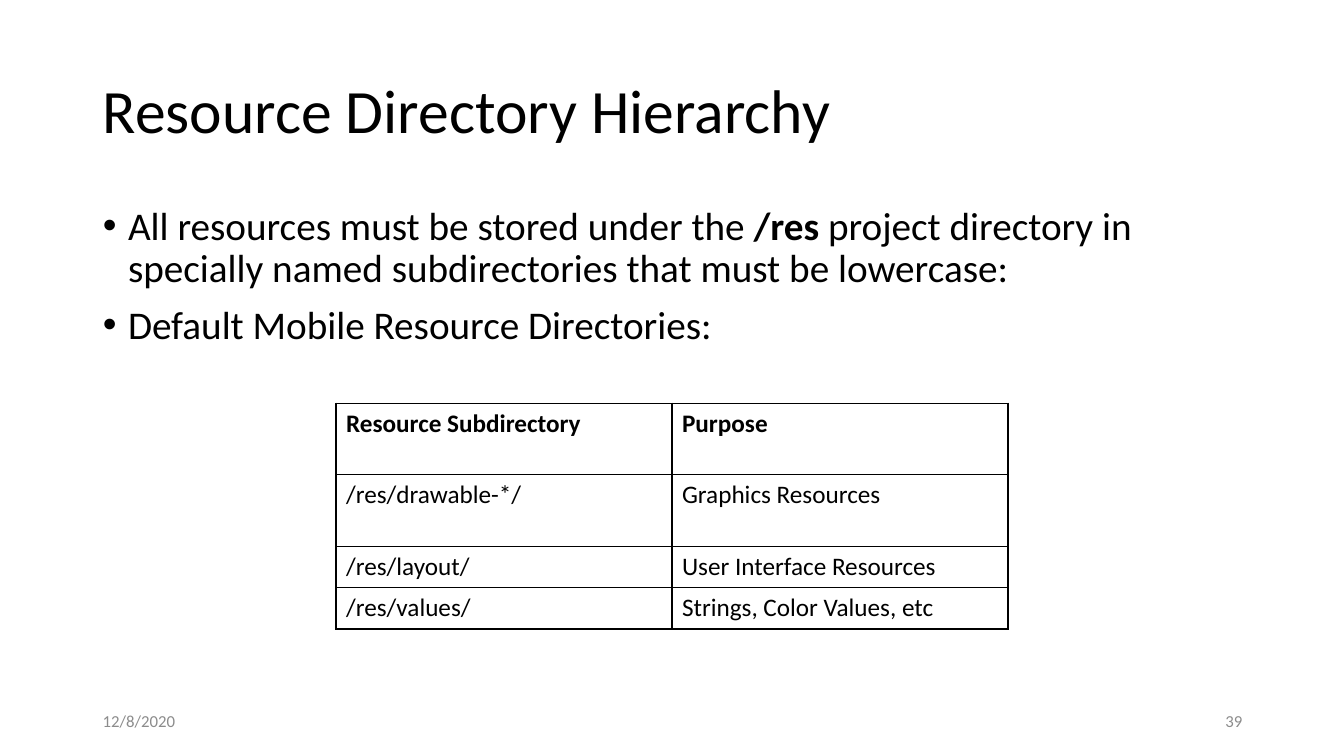
import pptx
import pptx.util
import pptx.dml.color
import pptx.enum.text
import pptx.oxml
import pptx.oxml.ns

Pt, Inches = pptx.util.Pt, pptx.util.Inches
ALIGN, ANCHOR = pptx.enum.text.PP_ALIGN, pptx.enum.text.MSO_ANCHOR
COLORS = {"ink": "000000", "muted": "8C8C8C"}
WIDE, HIGH = 13.33, 7.5
LEFT, SPAN = 0.92, 11.5
NS = pptx.oxml.ns.nsdecls("a")

ITEMS = [
    [("All resources must be stored under the ", False), ("/res", True),
     (" project directory in specially named subdirectories that must be lowercase:", False)],
    [("Default Mobile Resource Directories:", False)],
]
ROWS = [
    ("Resource Subdirectory", "Purpose"),
    ("/res/drawable-*/", "Graphics Resources"),
    ("/res/layout/", "User Interface Resources"),
    ("/res/values/", "Strings, Color Values, etc"),
]
TALL, SHORT = 0.71, 0.41


def write(para, text, size=18, color="ink", bold=False, align=ALIGN.LEFT):
    """Add one formatted run to a paragraph."""
    para.alignment = align
    run = para.add_run()
    run.text = text
    font = run.font
    font.name, font.size, font.bold = "Calibri", Pt(size), bold
    font.color.rgb = pptx.dml.color.RGBColor.from_string(COLORS[color])


def place(shape, box, anchor):
    """Move a text shape to its box and return its text frame."""
    shape.left, shape.top, shape.width, shape.height = map(Inches, box)
    frame = shape.text_frame
    frame.word_wrap = True
    frame.auto_size = pptx.enum.text.MSO_AUTO_SIZE.NONE
    frame.vertical_anchor = anchor
    return frame


def head(slide, box):
    para = place(slide.shapes.title, box, ANCHOR.MIDDLE).paragraphs[0]
    para.line_spacing = 0.9
    write(para, "Resource Directory Hierarchy", size=44)


def body(slide, box):
    frame = place(slide.placeholders[1], box, ANCHOR.TOP)
    for i, parts in enumerate(ITEMS):
        para = frame.add_paragraph() if i else frame.paragraphs[0]
        para.line_spacing, para.space_before = 0.9, Pt(10)
        for text, bold in parts:
            write(para, text, size=28, bold=bold)
        # Bullet with a hanging indent
        props = para._p.get_or_add_pPr()
        props.set("marL", str(Inches(0.25)))
        props.set("indent", str(-Inches(0.25)))
        for tag in ('buFont %s typeface="Arial"', 'buChar %s char="•"'):
            props.append(pptx.oxml.parse_xml(f"<a:{tag % NS}/>"))


def border(cell):
    """Draw a thin line on all four sides of a cell."""
    props = cell._tc.get_or_add_tcPr()
    for i, side in enumerate("LRTB"):
        props.insert(i, pptx.oxml.parse_xml(
            f'<a:ln{side} {NS} w="{Pt(1)}"><a:solidFill>'
            f'<a:srgbClr val="{COLORS["ink"]}"/></a:solidFill></a:ln{side}>'))


def grid(slide, box):
    table = slide.shapes.add_table(len(ROWS), 2, *map(Inches, box)).table
    table.first_row = table.horz_banding = False
    for r, row in enumerate(ROWS):
        table.rows[r].height = Inches(TALL if r < 2 else SHORT)
        for c, text in enumerate(row):
            cell = table.cell(r, c)
            cell.fill.background()
            border(cell)
            write(cell.text_frame.paragraphs[0], text, bold=r == 0)


def foot(slide, box):
    """Date at the left end of the box, page number at the right end."""
    x, y, w, h = box
    part = 3
    for left, text, align in ((x, "12/8/2020", ALIGN.LEFT),
                              (x + w - part, "39", ALIGN.RIGHT)):
        area = (left, y, part, h)
        label = slide.shapes.add_textbox(*map(Inches, area))
        frame = place(label, area, ANCHOR.MIDDLE)
        write(frame.paragraphs[0], text, size=12, color="muted", align=align)


def main():
    deck = pptx.Presentation()
    deck.slide_width, deck.slide_height = Inches(WIDE), Inches(HIGH)
    slide = deck.slides.add_slide(deck.slide_layouts[1])
    head(slide, (LEFT, 0.4, SPAN, 1.45))
    body(slide, (LEFT, 2, SPAN, 4.76))
    foot(slide, (LEFT, 6.95, SPAN, 0.4))
    # Table: the middle half of the slide
    grid(slide, (WIDE / 4, 4, WIDE / 2, 2 * (TALL + SHORT)))
    deck.save("out.pptx")


if __name__ == "__main__":
    main()
